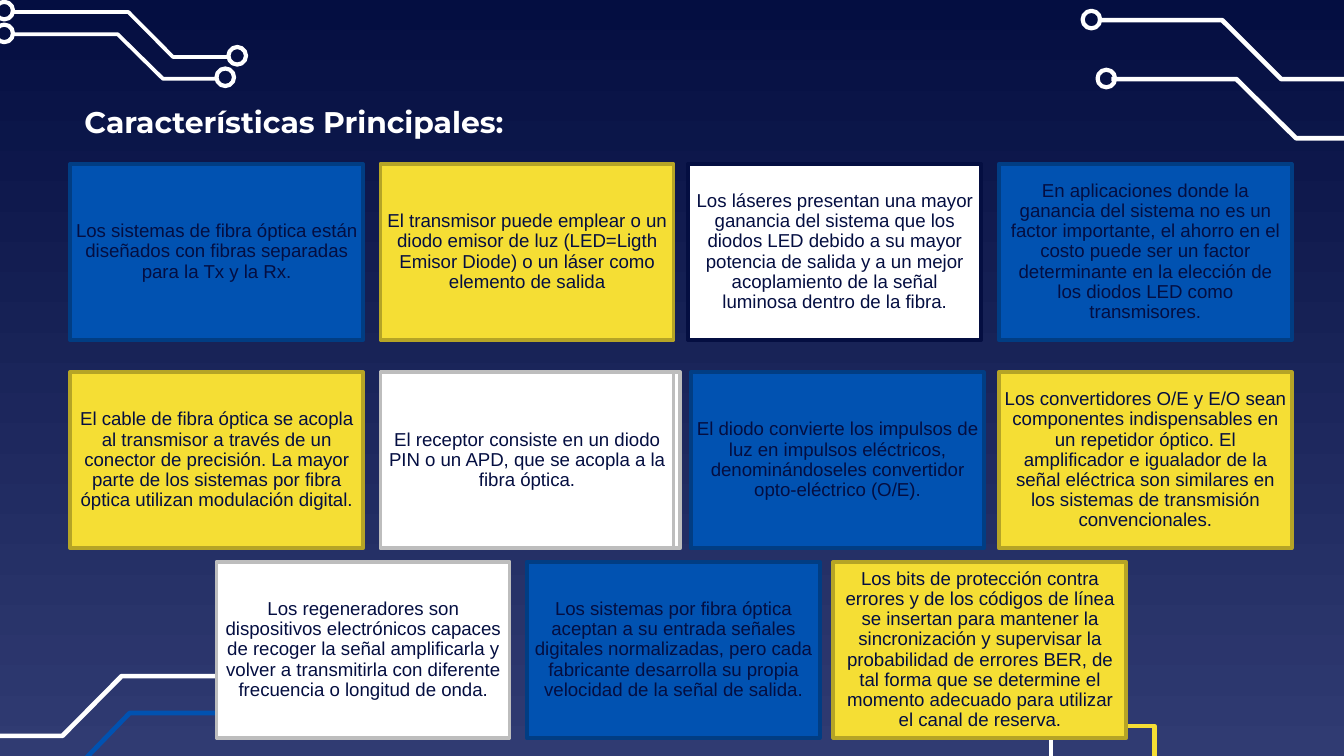
from typing import NamedTuple

from pptx import Presentation
from pptx.dml.color import RGBColor
from pptx.enum.shapes import MSO_SHAPE
from pptx.enum.text import MSO_ANCHOR, MSO_AUTO_SIZE, PP_ALIGN
from pptx.util import Pt

COLORS = {
    "night": "040E41", "dusk": "303B72", "white": "FFFFFF", "silver": "BDBDBD",
    "blue": "0152B1", "deep blue": "013D83", "yellow": "F5DE34", "ochre": "B5A426",
}
CARD_WIDTH, CARD_HEIGHT = 157, 94.3
NODE_SIZE = 9.4
TOP_ROW, MIDDLE_ROW, BOTTOM_ROW = 87.8, 199.4, 301


class Style(NamedTuple):
    fill: str
    border: str


BLUE = Style("blue", "deep blue")
YELLOW = Style("yellow", "ochre")
WHITE = Style("white", "silver")
OUTLINED = Style("white", "night")


class Card(NamedTuple):
    left: float
    top: float
    style: Style
    text: str = ""


class Trace(NamedTuple):
    points: list[tuple[float, float]]
    color: str = "white"
    width: float = 2.25


CARDS = [
    Card(37.5, TOP_ROW, BLUE, "Los sistemas de fibra óptica están diseñados con fibras separadas para la Tx y la Rx."),
    Card(203.8, TOP_ROW, YELLOW, "El transmisor puede emplear o un diodo emisor de luz (LED=Ligth Emisor Diode) "
         "o un láser como elemento de salida"),
    Card(368.6, TOP_ROW, OUTLINED, "Los láseres presentan una mayor ganancia del sistema que los diodos LED debido "
         "a su mayor potencia de salida y a un mejor acoplamiento de la señal luminosa dentro de la fibra."),
    Card(535, TOP_ROW, BLUE, "En aplicaciones donde la ganancia del sistema no es un factor importante, el ahorro "
         "en el costo puede ser un factor determinante en la elección de los diodos LED como transmisores."),
    Card(37.5, MIDDLE_ROW, YELLOW, "El cable de fibra óptica se acopla al transmisor a través de un conector de "
         "precisión. La mayor parte de los sistemas por fibra óptica utilizan modulación digital."),
    Card(207.4, MIDDLE_ROW, WHITE),
    Card(203.8, MIDDLE_ROW, WHITE, "El receptor consiste en un diodo PIN o un APD, que se acopla a la fibra óptica."),
    Card(370.1, MIDDLE_ROW, BLUE, "El diodo convierte los impulsos de luz en impulsos eléctricos, "
         "denominándoseles convertidor opto-eléctrico (O/E)."),
    Card(535, MIDDLE_ROW, YELLOW, "Los convertidores O/E y E/O sean componentes indispensables en un repetidor "
         "óptico. El amplificador e igualador de la señal eléctrica son similares en los sistemas de transmisión "
         "convencionales."),
    Card(116, BOTTOM_ROW, WHITE, "Los regeneradores son dispositivos electrónicos capaces de recoger la señal "
         "amplificarla y volver a transmitirla con diferente frecuencia o longitud de onda."),
    Card(282.2, BOTTOM_ROW, BLUE, "Los sistemas por fibra óptica aceptan a su entrada señales digitales "
         "normalizadas, pero cada fabricante desarrolla su propia velocidad de la señal de salida."),
    Card(446.4, BOTTOM_ROW, YELLOW, "Los bits de protección contra errores y de los códigos de línea se insertan "
         "para mantener la sincronización y supervisar la probabilidad de errores BER, de tal forma que se "
         "determine el momento adecuado para utilizar el canal de reserva."),
]

TRACES = [
    Trace([(-18.7, 394.2), (33.5, 394.2), (65.2, 362.2), (132.5, 362.2)], width=2.5),
    Trace([(-14.4, 414), (38.5, 414), (69.5, 382), (136.8, 382)], "blue", 2.5),
    Trace([(5.8, 18.3), (63, 18.3), (87.3, 42.2), (116.6, 42.2)], width=2),
    Trace([(5.8, 6.5), (68.8, 6.5), (92.7, 30.6), (122.4, 30.6)], width=2),
    Trace([(588.2, 10.8), (654.8, 10.8), (686.5, 42.4), (739.4, 42.4)], width=2.5),
    Trace([(595.4, 42.4), (662.4, 42.4), (694.4, 74.1), (746.6, 74.1)], width=2.5),
    Trace([(499, 362.9), (563, 362.9), (563, 442)]),
    Trace([(532.8, 335.5), (532.8, 388.8), (618.5, 388.8), (618.5, 439.2)], "yellow"),
]
NODE_CORNERS = [(116, 36.7), (-2.4, 13.2), (122.4, 25.2), (-2.4, 1), (580, 5.8), (588, 37.4)]


def rgb(name: str) -> RGBColor:
    return RGBColor.from_string(COLORS[name])


def apply(target, values: dict) -> None:
    for name, value in values.items():
        setattr(target, name, value)


def margins(size: float) -> dict:
    return {f"margin_{side}": Pt(size) for side in ("left", "top", "right", "bottom")}


def style_outline(shape, color: str, width: float) -> None:
    shape.shadow.inherit = False
    shape.line.color.rgb = rgb(color)
    shape.line.width = Pt(width)


def draw_trace(slide, trace: Trace) -> None:
    start, *bends = [(Pt(x), Pt(y)) for x, y in trace.points]
    builder = slide.shapes.build_freeform(*start)
    builder.add_line_segments(bends, close=False)
    wire = builder.convert_to_shape()
    wire.fill.background()
    style_outline(wire, trace.color, trace.width)


def draw_node(slide, left: float, top: float) -> None:
    ring = slide.shapes.add_shape(MSO_SHAPE.OVAL, Pt(left), Pt(top), Pt(NODE_SIZE), Pt(NODE_SIZE))
    ring.fill.background()
    style_outline(ring, "white", 2.25)


def draw_card(slide, card: Card) -> None:
    box = slide.shapes.add_shape(
        MSO_SHAPE.RECTANGLE, Pt(card.left), Pt(card.top), Pt(CARD_WIDTH), Pt(CARD_HEIGHT))
    box.fill.solid()
    box.fill.fore_color.rgb = rgb(card.style.fill)
    style_outline(box, card.style.border, 2)
    if not card.text:
        return
    frame = box.text_frame
    apply(frame, {"word_wrap": True, "vertical_anchor": MSO_ANCHOR.MIDDLE, **margins(3)})
    paragraph = frame.paragraphs[0]
    apply(paragraph, {"alignment": PP_ALIGN.CENTER, "line_spacing": 0.9, "space_after": Pt(3.5)})
    statement = paragraph.add_run()
    statement.text = card.text
    apply(statement.font, {"name": "Arial", "size": Pt(10)})
    statement.font.color.rgb = rgb("night")


def paint_background(slide) -> None:
    fill = slide.background.fill
    fill.gradient()
    fill.gradient_angle = 270
    for stop, name, position in zip(fill.gradient_stops, ("night", "dusk"), (0, 1)):
        stop.color.rgb = rgb(name)
        stop.position = position


def write_title(slide) -> None:
    title = slide.shapes.title
    apply(title, {"left": Pt(38), "top": Pt(31), "width": Pt(575), "height": Pt(68.4)})
    frame = title.text_frame
    frame.text = "Características Principales:"
    apply(frame, {"word_wrap": True, "auto_size": MSO_AUTO_SIZE.NONE,
                  "vertical_anchor": MSO_ANCHOR.MIDDLE, **margins(7.2)})
    heading = frame.paragraphs[0]
    heading.alignment = PP_ALIGN.LEFT
    font = heading.runs[0].font
    apply(font, {"name": "Montserrat", "size": Pt(16), "bold": True})
    font.color.rgb = rgb("white")


def main() -> None:
    presentation = Presentation()
    apply(presentation, {"slide_width": Pt(720), "slide_height": Pt(405)})
    slide = presentation.slides.add_slide(presentation.slide_layouts[5])
    paint_background(slide)
    write_title(slide)
    for trace in TRACES:
        draw_trace(slide, trace)
    for left, top in NODE_CORNERS:
        draw_node(slide, left, top)
    for card in CARDS:
        draw_card(slide, card)
    presentation.save("out.pptx")


if __name__ == "__main__":
    main()
